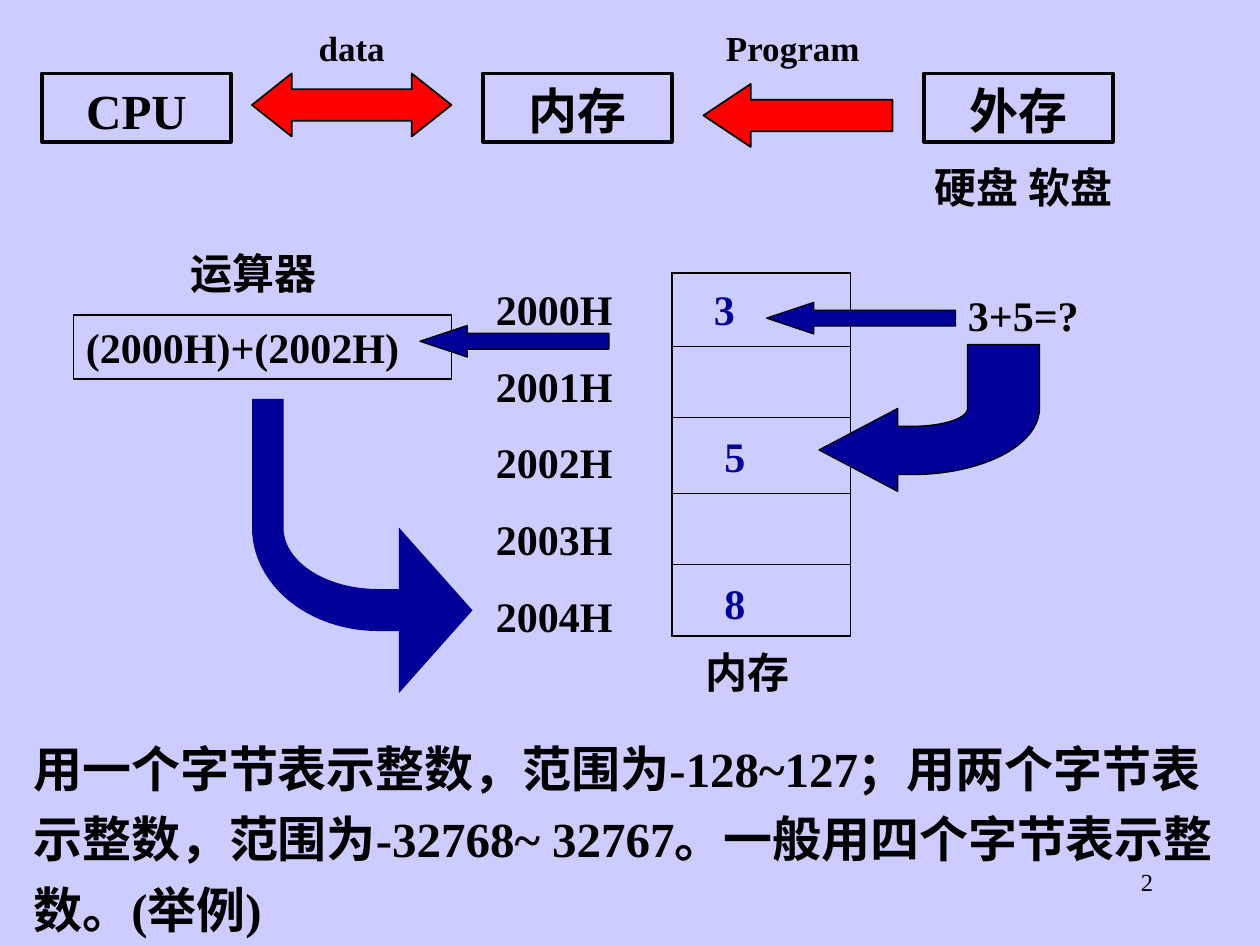
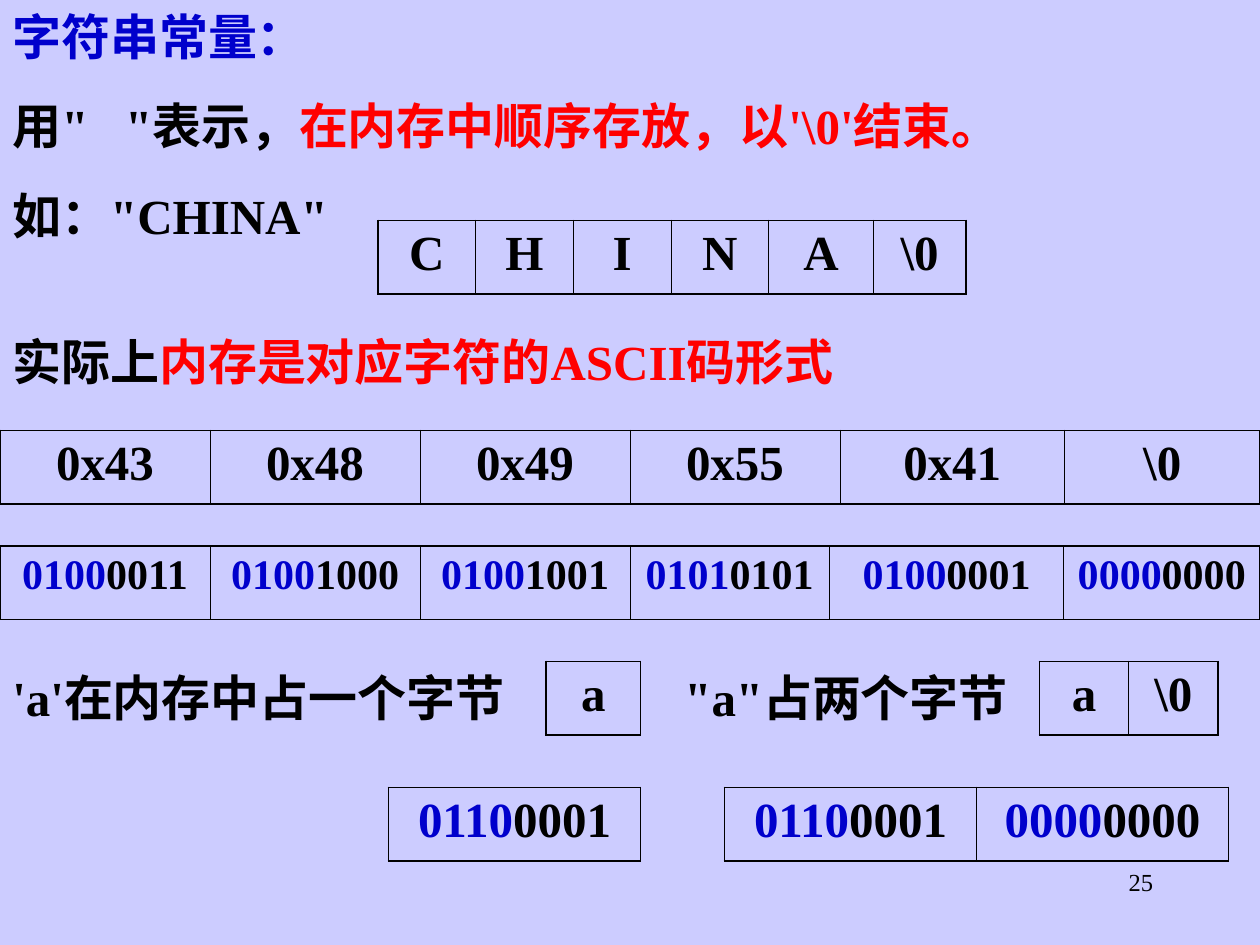
from math import cos, pi, sin

from lxml.etree import SubElement
from pptx import Presentation
from pptx.dml.color import RGBColor
from pptx.enum.lang import MSO_LANGUAGE_ID as LANG
from pptx.enum.shapes import MSO_SHAPE as SHAPE
from pptx.enum.text import MSO_ANCHOR as ANCHOR, PP_ALIGN as ALIGN
from pptx.oxml.ns import qn
from pptx.util import Emu, Inches, Pt

COLUMNS, ROWS = 120, 90
UNIT = Inches(10) / COLUMNS
FONT = "Times New Roman"
BLACK, RED, NAVY, BLUE, LAVENDER = "000000", "FF0000", "000099", "0000CC", "CCCCFF"
OUTER, INNER = 1.08, 0.45
ROOMY, TIGHT, NONE = (0.1, 0.05), (0.02, 0.01), (0, 0)
PAGE_NUMBER_AT = (86, 82, 25, 6)

DEVICES = [("CPU", 4), ("内存", 46), ("外存", 88)]
DEVICE_TOP, DEVICE_SIZE = 7, (18, 6.5)
FLOWS = [
    ("data", (28, 2, 11, 4.7)),
    ("Program", (68, 2, 15, 4.7)),
]
FLOW_ARROWS = [
    (SHAPE.LEFT_RIGHT_ARROW, (24, 7, 19, 6), 0.63, RED, 1),
    (SHAPE.LEFT_ARROW, (67, 8, 18, 6), 0.75, RED, 1),
]
STEP_ARROWS = [
    (SHAPE.LEFT_ARROW, (40, 31, 18, 3), 1.5, NAVY, 0.75),
    (SHAPE.LEFT_ARROW, (73, 28.8, 18, 3), 1.5, NAVY, 0.75),
]
CAPTIONS = [
    ("硬盘 软盘", (87, 14.8, 21, 6), ALIGN.CENTER),
    ("运算器", (17, 23, 18, 6), ALIGN.LEFT),
    ("(2000H)+(2002H)", (7, 30, 34, 6), ALIGN.LEFT),
    ("3+5=?", (91, 27, 15, 6), ALIGN.LEFT),
    ("内存", (66, 61, 14, 6), ALIGN.LEFT),
]
CALCULATOR_AT = (7, 30, 36, 6.1)
ADDRESSES = ["2000H", "2001H", "2002H", "2003H", "2004H"]
ADDRESSES_AT = (47, 27, 13, 34)
MEMORY_LEFT, MEMORY_TOP, MEMORY_WIDTH = 64, 26, 17
MEMORY_ROWS = [7, 6.8, 7.2, 6.8, 6.8]
STORED = [("3", 68, 27), ("5", 69, 41), ("8", 69, 55)]
BENT_ARROWS = [
    dict(start=(24, 38), side=1, length=21, height=28, head=14, tail=3,
         bend=(12, 12.25), edges=(18.1, 22.1), outline=None),
    dict(start=(99, 32.8), side=-1, length=21, height=14, head=13.5, tail=6.85,
         bend=(12.1, 6.1), edges=(7.8, 12.4), outline=0.75),
]
INTEGER_RANGES = ("用一个字节表示整数，范围为-128~127；用两个字节表示整数，"
                  "范围为-32768~ 32767。一般用四个字节表示整数。(举例)")

STRING_RULES = [
    [("字符串常量：", BLUE)],
    [('用"   "表示，', BLACK), ("在内存中顺序存放，以'\\0'结束。", RED)],
    [('如："CHINA"', BLACK)],
]
STRING_NOTES = [
    (STRING_RULES, (0, 0, 120, 24)),
    ([[("实际上", BLACK), ("内存是对应字符的ASCII码形式", RED)]], (0, 31, 111, 7)),
    (["'a'在内存中占一个字节"], (0, 63, 52, 7)),
    (['"a"占两个字节'], (64, 63, 35, 7)),
]
BYTE_TABLES = [
    (36, 21, [9.3, 9.3, 9.3, 9.3, 10, 8.8], 28, ["C", "H", "I", "N", "A", "\\0"]),
    (0, 41, [20, 20, 20, 20, 21.4, 18.6], 28,
     ["0x43", "0x48", "0x49", "0x55", "0x41", "\\0"]),
    (0, 52, [20, 20, 20, 19, 22.3, 18.7], 24,
     ["01000011", "01001000", "01001001", "01010101", "01000001", "00000000"]),
    (52, 63, [9], 28, ["a"]),
    (99, 63, [8.5, 8.5], 28, ["a", "\\0"]),
    (37, 75, [24], 28, ["01100001"]),
    (69, 75, [24, 24], 28, ["01100001", "00000000"]),
]


def color(hex_text):
    return RGBColor.from_string(hex_text)


def grid(*lengths):
    return [Emu(round(length * UNIT)) for length in lengths]


def write(frame, paragraphs, size=24, ink=BLACK, bold=True, align=ALIGN.LEFT,
          before=0, spacing=None, inset=ROOMY):
    frame.word_wrap = True
    frame.vertical_anchor = ANCHOR.TOP
    frame.margin_left = frame.margin_right = Inches(inset[0])
    frame.margin_top = frame.margin_bottom = Inches(inset[1])
    for index, content in enumerate(paragraphs):
        paragraph = frame.add_paragraph() if index else frame.paragraphs[0]
        paragraph.alignment = align
        paragraph.line_spacing = spacing
        if index:
            paragraph.space_before = Pt(before)
        runs = [(content, ink)] if isinstance(content, str) else content
        for words, run_ink in runs:
            run = paragraph.add_run()
            run.text = words
            run.font.name, run.font.size, run.font.bold = FONT, Pt(size), bold
            run.font.color.rgb = color(run_ink)
            run.font.language_id = LANG.SIMPLIFIED_CHINESE


def add_text(slide, at, paragraphs, **style):
    write(slide.shapes.add_textbox(*grid(*at)).text_frame, paragraphs, **style)


def dress(shape, fill=None, outline=None):
    shape.shadow.inherit = False
    if fill:
        shape.fill.solid()
        shape.fill.fore_color.rgb = color(fill)
    else:
        shape.fill.background()
    if outline:
        shape.line.color.rgb = color(BLACK)
        shape.line.width = Pt(outline)
    else:
        shape.line.fill.background()
    return shape


def add_box(slide, at, outline):
    return dress(slide.shapes.add_shape(SHAPE.RECTANGLE, *grid(*at)), outline=outline)


def add_arrow(slide, kind, at, head, fill, outline):
    arrow = slide.shapes.add_shape(kind, *grid(*at))
    arrow.adjustments[0], arrow.adjustments[1] = 0.5, head
    dress(arrow, fill, outline)


def add_bent_arrow(slide, start, side, length, height, head, tail, bend, edges, outline):
    bend_x, bend_y = bend
    inner, outer = edges

    def quarter(left, low):
        steps = [pi / 2 * step / 24 for step in range(25)]
        return [(bend_x - (bend_x - left) * sin(a), bend_y + (low - bend_y) * cos(a))
                for a in steps]

    outline_points = [
        (length, (bend_y + height) / 2), (head, height), (head, outer),
        *quarter(0, outer), (0, 0), (tail, 0), *reversed(quarter(tail, inner)),
        (head, inner), (head, bend_y),
    ]
    points = [grid(start[0] + side * x, start[1] + y) for x, y in outline_points]
    builder = slide.shapes.build_freeform(*points[0])
    builder.add_line_segments(points[1:], close=True)
    dress(builder.convert_to_shape(), NAVY, outline)


def set_border(cell, edge, width):
    line = SubElement(cell._tc.get_or_add_tcPr(), qn(f"a:ln{edge}"), w=str(Pt(width)))
    fill = SubElement(line, qn("a:solidFill"))
    SubElement(fill, qn("a:srgbClr"), val=BLACK)


def add_grid(slide, left, top, widths, heights):
    across, down = len(widths), len(heights)
    frame = slide.shapes.add_table(
        down, across, *grid(left, top, sum(widths), sum(heights)))
    table = frame.table
    table.first_row = table.horz_banding = False
    for column, width in zip(table.columns, grid(*widths)):
        column.width = width
    for row, height in zip(table.rows, grid(*heights)):
        row.height = height
    for r in range(down):
        for c in range(across):
            cell = table.cell(r, c)
            rims = {"L": c == 0, "R": c == across - 1, "T": r == 0, "B": r == down - 1}
            for edge, on_rim in rims.items():
                set_border(cell, edge, OUTER if on_rim else INNER)
            cell.fill.background()
    return table


def add_byte_table(slide, left, top, widths, size, labels):
    table = add_grid(slide, left, top, widths, [7])
    for cell, label in zip(table.rows[0].cells, labels):
        is_bits = len(label) == 8
        content = [(label[:4], BLUE), (label[4:], BLACK)] if is_bits else label
        write(cell.text_frame, [content], size=size, align=ALIGN.CENTER)


def add_slide(deck, number):
    slide = deck.slides.add_slide(deck.slide_layouts[6])
    slide.background.fill.solid()
    slide.background.fill.fore_color.rgb = color(LAVENDER)
    add_text(slide, PAGE_NUMBER_AT, [number], size=14, bold=False, align=ALIGN.RIGHT)
    return slide


def build_memory_slide(deck):
    slide = add_slide(deck, "2")
    add_grid(slide, MEMORY_LEFT, MEMORY_TOP, [MEMORY_WIDTH], MEMORY_ROWS)
    add_text(slide, ADDRESSES_AT, ADDRESSES, before=15, inset=(0.02, 0))
    for value, left, top in STORED:
        add_text(slide, (left, top, 5, 4.8), [value], ink=NAVY, inset=NONE)
    add_box(slide, CALCULATOR_AT, 0.75)
    for device, left in DEVICES:
        box = add_box(slide, (left, DEVICE_TOP, *DEVICE_SIZE), 2.25)
        write(box.text_frame, [device], size=28, align=ALIGN.CENTER,
              spacing=1.1, inset=TIGHT)
    for flow, at in FLOWS:
        add_text(slide, at, [flow], size=20, align=ALIGN.CENTER,
                 spacing=1.1, inset=TIGHT)
    for arrow in FLOW_ARROWS + STEP_ARROWS:
        add_arrow(slide, *arrow)
    for bent_arrow in BENT_ARROWS:
        add_bent_arrow(slide, **bent_arrow)
    for caption, at, align in CAPTIONS:
        add_text(slide, at, [caption], align=align)
    add_text(slide, (2, 68.6, 118, 21.4), [INTEGER_RANGES], size=28, spacing=1.2)


def build_string_slide(deck):
    slide = add_slide(deck, "25")
    for paragraphs, at in STRING_NOTES:
        add_text(slide, at, paragraphs, size=28, before=17.5)
    for byte_table in BYTE_TABLES:
        add_byte_table(slide, *byte_table)


def main():
    deck = Presentation()
    deck.slide_width, deck.slide_height = grid(COLUMNS, ROWS)
    build_memory_slide(deck)
    build_string_slide(deck)
    deck.save("out.pptx")


if __name__ == "__main__":
    main()
